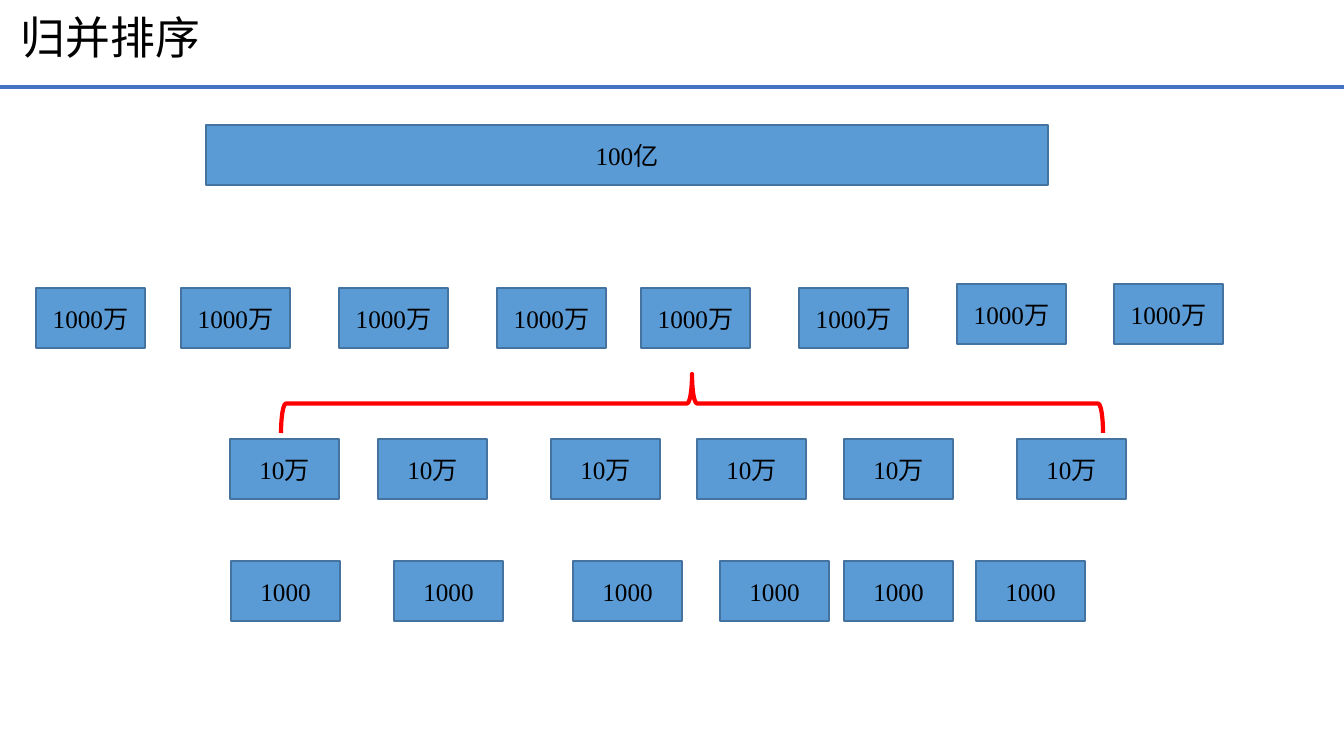
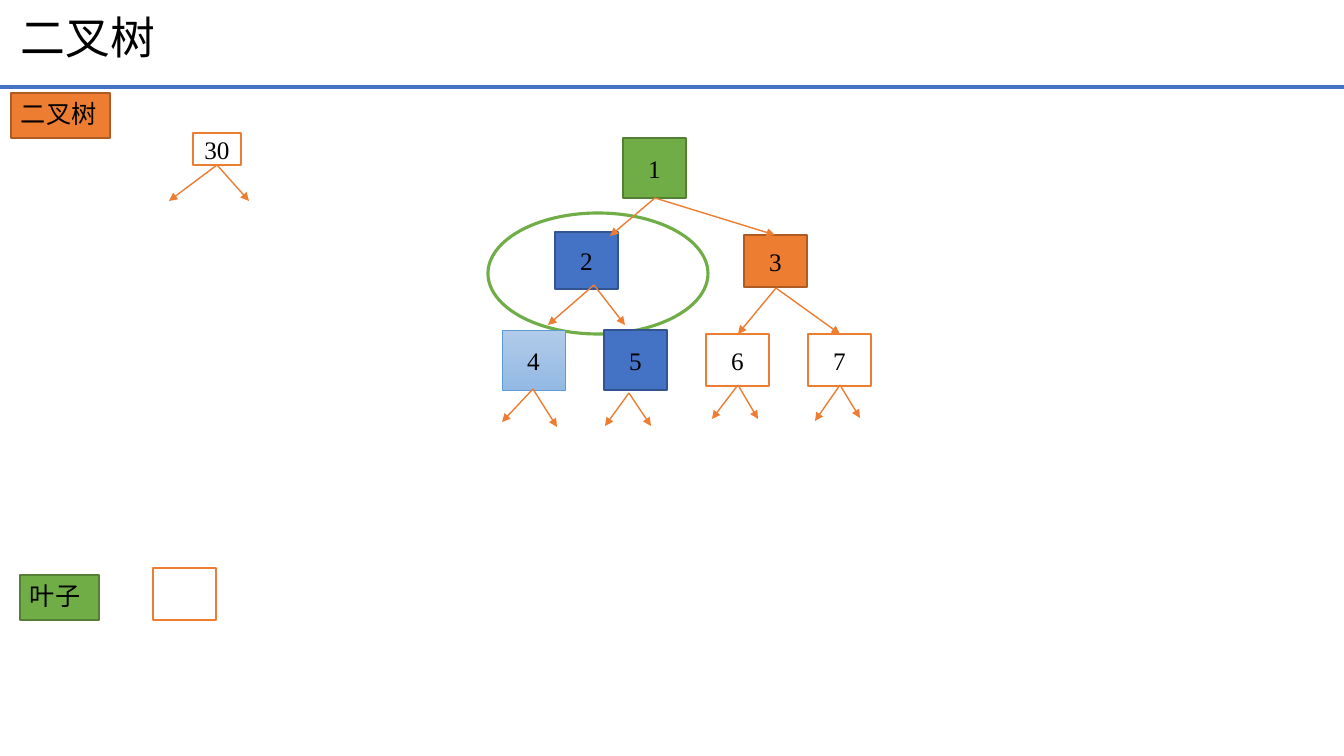
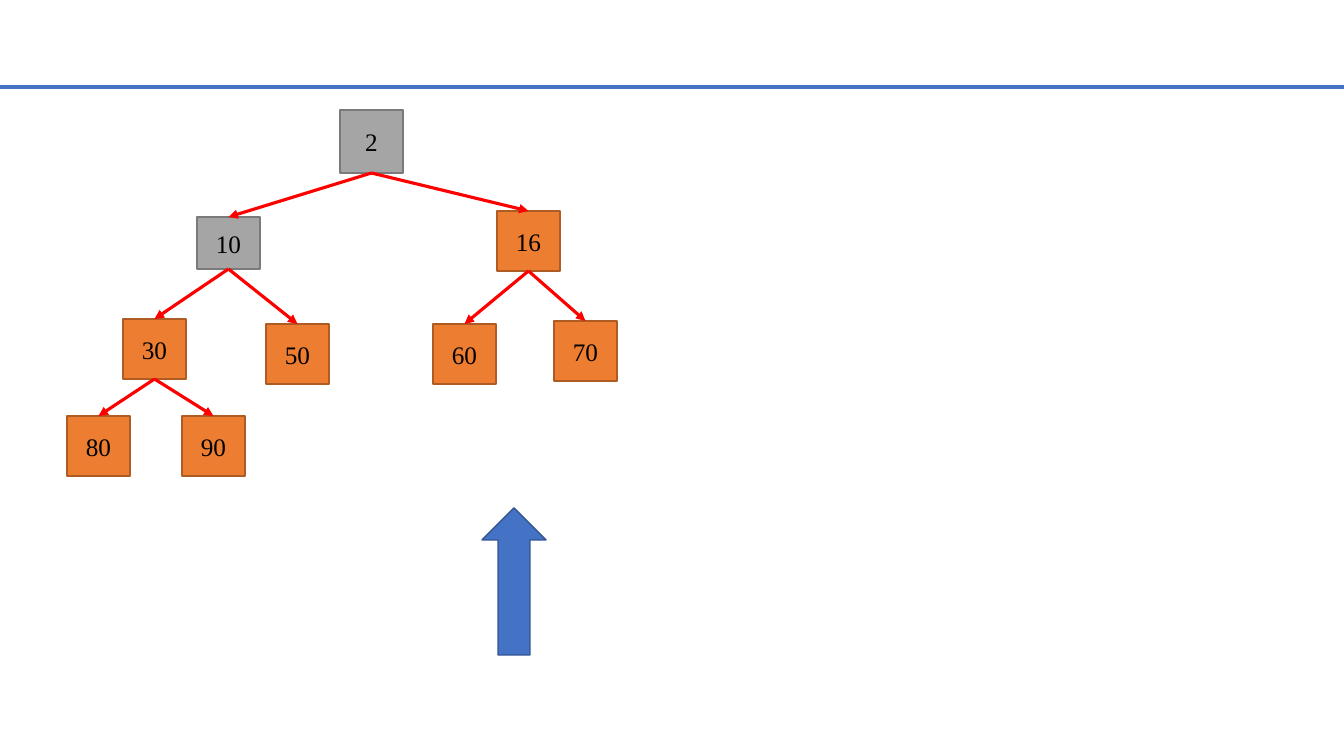
from dataclasses import dataclass

from lxml.etree import SubElement
from pptx import Presentation
from pptx.dml.color import RGBColor
from pptx.enum.shapes import MSO_CONNECTOR, MSO_SHAPE
from pptx.enum.text import MSO_ANCHOR, PP_ALIGN
from pptx.oxml.ns import qn
from pptx.util import Emu, Pt

EMU_PER_PIXEL = 914400 / 100.8


def px(pixels):
    """Turn pixels into EMU."""
    return Emu(round(pixels * EMU_PER_PIXEL))


@dataclass(frozen=True)
class Box:
    """A rectangle in pixels."""
    left: float
    top: float
    width: float
    height: float

    def inner(self, left, top, width, height):
        """Return a box placed relative to this one."""
        return Box(self.left + left, self.top + top, width, height)

    def point(self, x, y):
        """Return a point placed relative to this box."""
        return self.left + x, self.top + y

    def emu(self):
        """Return left, top, width and height in EMU."""
        return [px(n) for n in (self.left, self.top, self.width, self.height)]


@dataclass(frozen=True)
class Style:
    """Fill, outline and outline width; two fill colours make a gradient."""
    fill: tuple
    line: str
    width: float = 1


@dataclass(frozen=True)
class Theme:
    """Colours and type sizes of the deck."""
    font: str = "Times New Roman"
    text: str = "000000"
    title_size: int = 32
    body_size: int = 18
    label_spacing: float = 0.9
    header_rule: str = "4472C4"
    accent: str = "ED7D31"
    red: str = "FF0000"
    thin: float = 1
    thick: float = 2.25
    sky: Style = Style(("5B9BD5",), "43739E")
    blue: Style = Style(("4472C4",), "325491")
    green: Style = Style(("70AD47",), "538035")
    orange: Style = Style(("ED7D31",), "AF5C24")
    grey: Style = Style(("A5A5A5",), "7A7A7A")
    white: Style = Style(("FFFFFF",), "ED7D31")
    pale: Style = Style(("B1CBE9", "93B9E4"), "5B9BD5", 0.5)
    ring: Style = Style((), "70AD47", 2.25)
    brace: Style = Style((), "FF0000", 3)


THEME = Theme()
SLIDE = Box(0, 0, 1344, 756)


def rgb(colour):
    """Return a colour object for a hex string."""
    return RGBColor.from_string(colour)


def write(frame, text, size, align=PP_ALIGN.LEFT, spacing=None):
    """Set one vertically centred paragraph in the theme font."""
    frame.word_wrap = True
    frame.vertical_anchor = MSO_ANCHOR.MIDDLE
    paragraph = frame.paragraphs[0]
    paragraph.text = text
    paragraph.alignment = align
    paragraph.line_spacing = spacing
    paragraph.font.name = THEME.font
    paragraph.font.size = Pt(size)
    paragraph.font.color.rgb = rgb(THEME.text)


def draw(slide, box, style, kind=MSO_SHAPE.RECTANGLE):
    """Add a preset shape in the given style."""
    shape = slide.shapes.add_shape(kind, *box.emu())
    shape.shadow.inherit = False
    if not style.fill:
        shape.fill.background()
    elif len(style.fill) == 1:
        shape.fill.solid()
        shape.fill.fore_color.rgb = rgb(style.fill[0])
    else:
        shape.fill.gradient()
        shape.fill.gradient_angle = 270
        for stop, colour in zip(shape.fill.gradient_stops, style.fill):
            stop.color.rgb = rgb(colour)
    shape.line.color.rgb = rgb(style.line)
    shape.line.width = Pt(style.width)
    return shape


def node(slide, box, text, style):
    """Add a rectangle with centred text."""
    shape = draw(slide, box, style)
    write(shape.text_frame, text, THEME.body_size, PP_ALIGN.CENTER)
    return shape


def label(slide, box, text, style):
    """Add a rectangle with left-aligned text."""
    shape = draw(slide, box, style)
    write(shape.text_frame, text, THEME.body_size, spacing=THEME.label_spacing)


def line(slide, start, end, colour, width, arrow=True):
    """Add a straight line, with an arrowhead at its end if wanted."""
    connector = slide.shapes.add_connector(
        MSO_CONNECTOR.STRAIGHT, *[px(n) for n in (*start, *end)])
    connector.line.color.rgb = rgb(colour)
    connector.line.width = Pt(width)
    if arrow:
        SubElement(connector.line._get_or_add_ln(), qn("a:tailEnd"), type="triangle")
    SubElement(connector._element.spPr, qn("a:effectLst"))
    return connector


def fork(slide, box, start, *tips):
    """Add thin arrows from one point to each tip."""
    for tip in tips:
        line(slide, box.point(*start), box.point(*tip), THEME.accent, THEME.thin)


def header(slide, box, title):
    """Add the rule under the header and the title, if there is one."""
    bottom = box.height
    line(slide, box.point(0, bottom), box.point(box.width, bottom),
         THEME.header_rule, THEME.thick, arrow=False)
    if title:
        heading = slide.shapes.add_textbox(*box.inner(11, 5, box.width - 11, 70).emu())
        write(heading.text_frame, title, THEME.title_size, spacing=THEME.label_spacing)


def chunk_row(slide, box, text, places):
    """Add equal chunks of data at the given (x, y) places."""
    for x, y in places:
        node(slide, box.inner(x, y, 109, box.height), text, THEME.sky)


def split_brace(slide, box):
    """Add a brace that opens downwards and fills the box."""
    shift = (box.width - box.height) / 2
    upright = box.inner(shift, -shift, box.height, box.width)
    draw(slide, upright, THEME.brace, MSO_SHAPE.LEFT_BRACE).rotation = 90


def merge_levels(slide, box):
    """Add the levels of merge sort, from the whole down to small chunks."""
    node(slide, box.inner(170, 0, 842, 60), "100亿", THEME.sky)
    raised = (921, 1078)
    level_rows = [
        (163, "1000万", (0, 145, 303, 461, 605, 763, *raised)),
        (314, "10万", (194, 342, 515, 661, 808, 981)),
        (436, "1000", (195, 358, 537, 684, 808, 940)),
    ]
    for top, text, lefts in level_rows:
        chunk_row(slide, box.inner(0, top, box.width, 60), text,
                  [(x, -4 if x in raised else 0) for x in lefts])
    split_brace(slide, box.inner(245, 249, 822, 59))


def sample_node(slide, box):
    """Add a single node with two child arrows."""
    node(slide, box.inner(24, 0, 48, 32), "30", THEME.white)
    fork(slide, box, (48, 32), (0, 68), (80, 68))


def binary_tree(slide, box):
    """Add the seven-node tree with its highlighted subtree."""
    draw(slide, box.inner(0, 75, 220, 121), THEME.ring, MSO_SHAPE.OVAL)
    tree_nodes = [
        ("1", 135, 0, 60, THEME.green),
        ("2", 67, 94, 57, THEME.blue),
        ("3", 256, 97, 52, THEME.orange),
        ("4", 14, 192, 60, THEME.pale),
        ("5", 116, 192, 60, THEME.blue),
        ("6", 218, 196, 52, THEME.white),
        ("7", 320, 196, 52, THEME.white),
    ]
    for text, x, y, height, style in tree_nodes:
        node(slide, box.inner(x, y, 63, height), text, style)
    child_arrows = [
        ((167, 60), (122, 98), (287, 97)),
        ((106, 147), (60, 187), (137, 187)),
        ((288, 150), (250, 196), (352, 196)),
        ((45, 251), (14, 284), (69, 289)),
        ((141, 255), (117, 288), (163, 288)),
        ((250, 247), (224, 281), (270, 281)),
        ((352, 247), (327, 283), (372, 280)),
    ]
    for points in child_arrows:
        fork(slide, box, *points)


def leaf_key(slide, box):
    """Add the leaf label and an empty leaf."""
    label(slide, box.inner(0, 7, 79, 45), "叶子", THEME.green)
    draw(slide, box.inner(133, 0, 63, 52), THEME.white)


def heap(slide, box):
    """Add the min-heap, its links glued to the nodes."""
    heap_nodes = [
        ("2", 273, 0, 63, THEME.grey),
        ("10", 130, 107, 52, THEME.grey),
        ("16", 430, 101, 60, THEME.orange),
        ("30", 56, 209, 60, THEME.orange),
        ("50", 199, 214, 60, THEME.orange),
        ("60", 366, 214, 60, THEME.orange),
        ("70", 487, 211, 60, THEME.orange),
        ("80", 0, 306, 60, THEME.orange),
        ("90", 115, 306, 60, THEME.orange),
    ]
    placed = [node(slide, box.inner(x, y, 63, height), text, style)
              for text, x, y, height, style in heap_nodes]
    bottom_site, top_site = 2, 0
    for index, child in enumerate(placed[1:], start=1):
        link = line(slide, (0, 0), (0, 0), THEME.red, THEME.thick)
        link.begin_connect(placed[(index - 1) // 2], bottom_site)
        link.end_connect(child, top_site)


def merge_sort_slide(slide):
    """Build the merge sort slide."""
    merge_levels(slide, Box(36, 125, 1187, 496))


def binary_tree_slide(slide):
    """Build the binary tree slide."""
    label(slide, Box(11, 93, 99, 45), "二叉树", THEME.orange)
    sample_node(slide, Box(169, 133, 80, 68))
    binary_tree(slide, Box(488, 138, 383, 289))
    leaf_key(slide, Box(20, 568, 196, 52))


def heap_slide(slide):
    """Build the heap slide."""
    heap(slide, Box(67, 110, 550, 366))
    draw(slide, Box(482, 508, 64, 147), THEME.blue, MSO_SHAPE.UP_ARROW)


def main():
    """Build and save the deck."""
    deck = Presentation()
    deck.slide_width, deck.slide_height = px(SLIDE.width), px(SLIDE.height)
    blank = deck.slide_layouts[6]
    pages = [("归并排序", merge_sort_slide), ("二叉树", binary_tree_slide),
             ("", heap_slide)]
    for title, build in pages:
        slide = deck.slides.add_slide(blank)
        header(slide, SLIDE.inner(0, 0, SLIDE.width, 87), title)
        build(slide)
    deck.save("out.pptx")


main()
